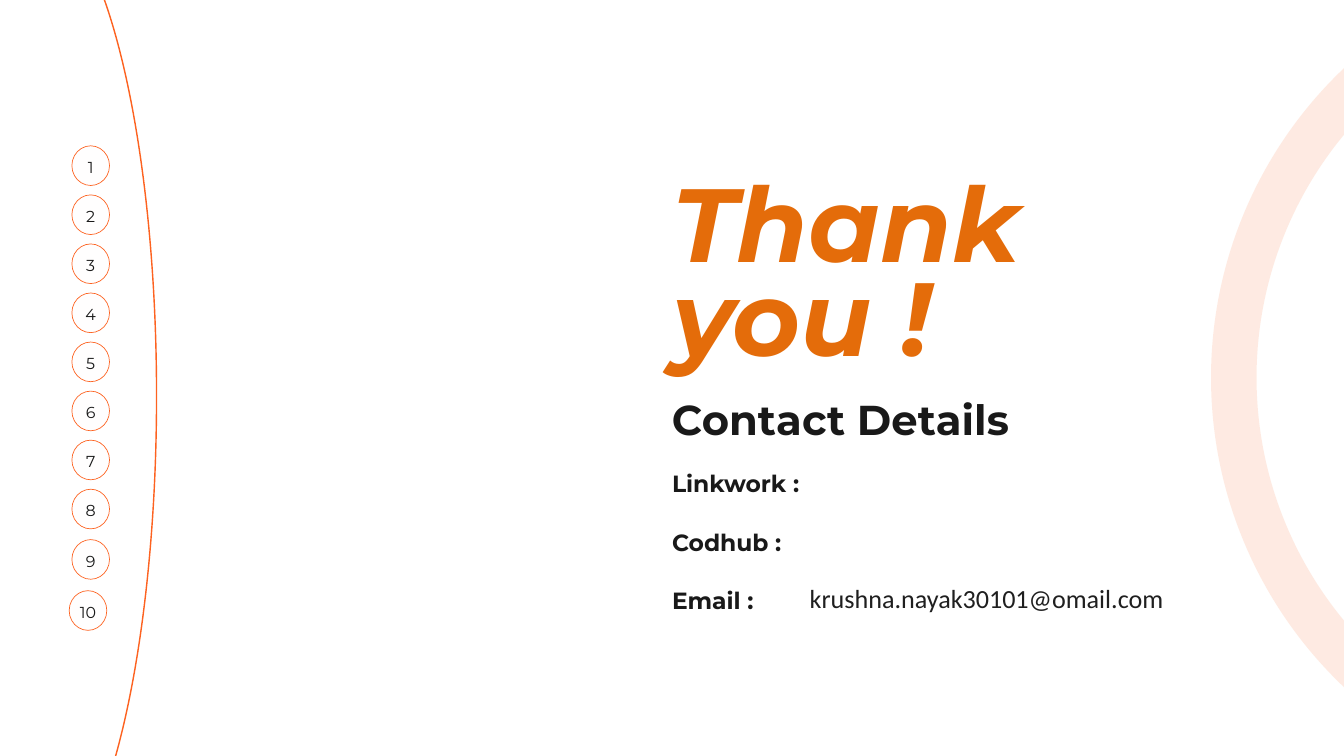
from pptx import Presentation
from pptx.dml.color import RGBColor
from pptx.enum.shapes import MSO_SHAPE
from pptx.enum.text import MSO_ANCHOR, PP_ALIGN
from pptx.util import Inches, Pt
from lxml import etree

OVAL = MSO_SHAPE.OVAL
TOP, MIDDLE = MSO_ANCHOR.TOP, MSO_ANCHOR.MIDDLE
LEFT, CENTER, JUSTIFY = PP_ALIGN.LEFT, PP_ALIGN.CENTER, PP_ALIGN.JUSTIFY
ORANGE = RGBColor(0xFD, 0x62, 0x20)
TITLE = RGBColor(0xE4, 0x6C, 0x0A)
INK = RGBColor(0x19, 0x19, 0x19)
GRAY = RGBColor(0x1F, 0x1F, 0x1F)
PAPER = RGBColor(0xFF, 0xFE, 0xFE)
A = "http://schemas.openxmlformats.org/drawingml/2006/main"

title = "Thank you !"
heading = "Contact Details"
contacts = [
    ("Linkwork :", ""),
    ("Codhub :", ""),
    ("Email :", "krushna.nayak30101@omail.com"),
]
count = 10
shifted = {9: (1.07, 8.03), 10: (1.03, 8.79)}

deck = Presentation()
deck.slide_width, deck.slide_height = Inches(20), Inches(11.25)
slide = deck.slides.add_slide(deck.slide_layouts[6])


def put_text(shape, text, size, space, color=INK, font="Montserrat",
             bold=False, italic=False, align=LEFT, anchor=TOP):
    frame = shape.text_frame
    frame.word_wrap = True
    frame.vertical_anchor = anchor
    frame.margin_left = frame.margin_right = 0
    frame.margin_top = frame.margin_bottom = 0
    para = frame.paragraphs[0]
    para.alignment = align
    para.line_spacing = Pt(space)
    run = para.add_run()
    run.text = text
    run.font.name, run.font.size = font, Pt(size)
    run.font.bold, run.font.italic = bold, italic
    run.font.color.rgb = color


def add_box(x, y, w, h, text, **style):
    box = slide.shapes.add_textbox(Inches(x), Inches(y), Inches(w), Inches(h))
    put_text(box, text, **style)


def add_oval(x, y, w, h, weight, fill=None, alpha=None):
    oval = slide.shapes.add_shape(OVAL, Inches(x), Inches(y), Inches(w), Inches(h))
    oval.shadow.inherit = False
    if fill is None:
        oval.fill.background()
    else:
        oval.fill.solid()
        oval.fill.fore_color.rgb = fill
    oval.line.color.rgb = ORANGE
    oval.line.width = Pt(weight)
    if alpha is not None:
        color = oval.line._ln.find(f".//{{{A}}}srgbClr")
        etree.SubElement(color, f"{{{A}}}alpha", val=str(alpha * 1000))
    return oval


add_oval(-1.5, -1.44, 3.83, 14.66, 1.5)

for num in range(1, count + 1):
    x, y = shifted.get(num, (1.07, 2.17 + 0.73 * (num - 1)))
    oval = add_oval(x, y, 0.56, 0.59, 0.75, fill=PAPER)
    put_text(oval, str(num), size=17, space=23.8, align=CENTER, anchor=MIDDLE)

add_box(10, 2.8, 5.95, 2.93, title, size=111.5, space=101.5,
        color=TITLE, bold=True, italic=True)
add_box(10, 5.92, 7.04, 0.71, heading, size=44.7, space=49.1,
        bold=True, align=JUSTIFY)

for row, (label, value) in enumerate(contacts):
    y = 7.02 + 0.865 * row
    add_box(10, y, 2.05, 0.39, label, size=25.1, space=27.7, bold=True)
    if value:
        add_box(12.05, y, 5.3, 0.4, value, size=28, space=27.7,
                color=GRAY, font="Calibri")

add_oval(18.36, -0.39, 12.02, 12.02, 48.75, alpha=12)

deck.save("out.pptx")
